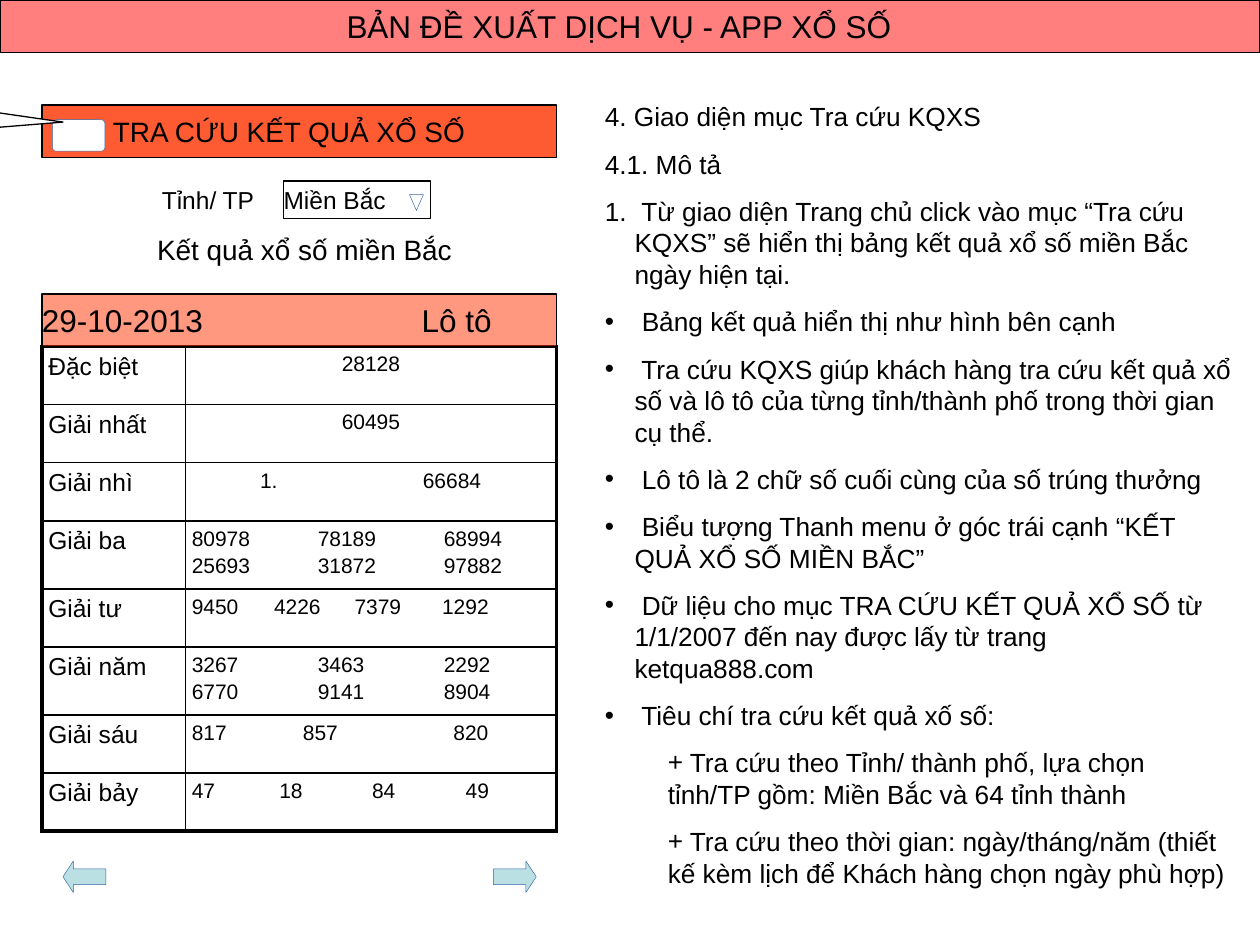
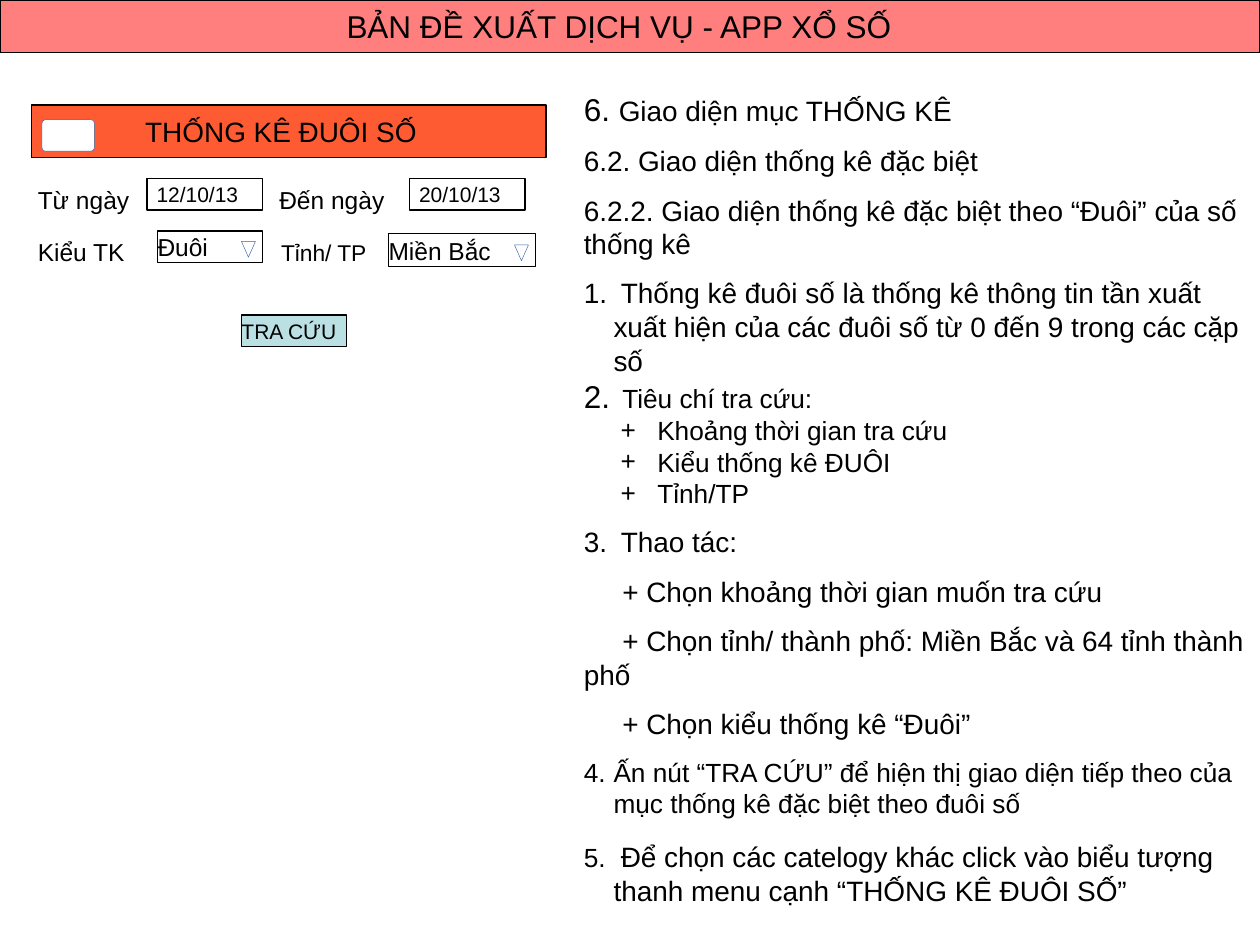
from lxml.etree import SubElement
from pptx import Presentation
from pptx.dml.color import RGBColor
from pptx.enum.shapes import MSO_SHAPE as Shape
from pptx.enum.text import MSO_ANCHOR as Anchor, MSO_AUTO_SIZE as AutoSize, PP_ALIGN as Align
from pptx.oxml.ns import qn
from pptx.util import Pt

FONT = "Arial"
BLACK, WHITE = "000000", "FFFFFF"
BAND_RED, HEADER_RED, BUTTON_BLUE, OUTLINE_BLUE = "FF0000", "FF3300", "BBE0E3", "3465A4"
DECK_TITLE = "BẢN ĐỀ XUẤT DỊCH VỤ - APP XỔ SỐ"
GAP = " "
HANG = 17

PRIZES = [
    ("Đặc biệt", ["28128"], None),
    ("Giải nhất", ["60495"], None),
    ("Giải nhì", ["\t1.\t66684"], (39, 132)),
    ("Giải ba", ["80978\t78189\t68994", "25693\t31872\t97882"], (72, 144)),
    ("Giải tư", ["9450\t4226\t7379\t1292"], (47, 93, 143)),
    ("Giải năm", ["3267\t3463\t2292", "6770\t9141\t8904"], (72, 144)),
    ("Giải sáu", ["817\t857\t820"], (63.5, 149.5)),
    ("Giải bảy", ["47\t18\t84\t49"], (50, 103, 156.5)),
]

LOOKUP_BULLETS = [
    "Bảng kết quả hiển thị như hình bên cạnh",
    "Tra cứu KQXS giúp khách hàng tra cứu kết quả xổ số và lô tô của từng tỉnh/thành phố "
    "trong thời gian cụ thể.",
    "Lô tô là 2 chữ số cuối cùng của số trúng thưởng",
    "Biểu tượng Thanh menu ở góc trái cạnh “KẾT QUẢ XỔ SỐ MIỀN BẮC”",
    "Dữ liệu cho mục TRA CỨU KẾT QUẢ XỔ SỐ từ 1/1/2007 đến nay được lấy từ trang ketqua888.com",
    "Tiêu chí tra cứu kết quả xố số:",
]
LOOKUP_CRITERIA = [
    "Tra cứu theo Tỉnh/ thành phố, lựa chọn tỉnh/TP gồm: Miền Bắc và 64 tỉnh thành",
    "Tra cứu theo thời gian: ngày/tháng/năm (thiết kế kèm lịch để Khách hàng chọn ngày phù hợp)",
]
STATS_CRITERIA = ["Khoảng thời gian tra cứu", "Kiểu thống kê ĐUÔI", "Tỉnh/TP"]
STATS_ACTIONS = [
    "Chọn khoảng thời gian muốn tra cứu",
    "Chọn tỉnh/ thành phố: Miền Bắc và 64 tỉnh thành phố",
    "Chọn kiểu thống kê “Đuôi”",
]


def color(value):
    return RGBColor.from_string(value)


def set_fill(shape, value, opacity=100):
    shape.fill.solid()
    shape.fill.fore_color.rgb = color(value)
    if opacity < 100:
        srgb = shape.fill._xPr.find(qn("a:solidFill")).find(qn("a:srgbClr"))
        SubElement(srgb, qn("a:alpha"), val=str(opacity * 1000))


def set_line(shape, value=BLACK, width=0.75):
    shape.line.color.rgb = color(value)
    shape.line.width = Pt(width)


def set_frame(frame, left=0, inset=0, anchor=Anchor.MIDDLE):
    frame.word_wrap = True
    frame.auto_size = AutoSize.NONE
    frame.vertical_anchor = anchor
    frame.margin_left = Pt(left)
    frame.margin_top = frame.margin_right = frame.margin_bottom = Pt(inset)


def set_tabs(paragraph, stops):
    tabs = SubElement(paragraph._p.get_or_add_pPr(), qn("a:tabLst"))
    for stop in stops:
        SubElement(tabs, qn("a:tab"), pos=str(Pt(stop)), algn="l")


def set_bullet(paragraph, bullet):
    properties = paragraph._p.get_or_add_pPr()
    if isinstance(bullet, int):
        SubElement(properties, qn("a:buAutoNum"), type="arabicPeriod", startAt=str(bullet))
    else:
        SubElement(properties, qn("a:buFont"), typeface=FONT)
        SubElement(properties, qn("a:buChar"), char=bullet)


def set_font(paragraph, size, align=Align.LEFT):
    paragraph.alignment = align
    paragraph.font.name = FONT
    paragraph.font.size = Pt(size)
    paragraph.font.color.rgb = color(BLACK)


def add_para(frame, text, size=15, before=9, bullet=None, left=0, indent=0):
    is_first = not frame.paragraphs[0].runs
    para = frame.paragraphs[0] if is_first else frame.add_paragraph()
    properties = para._p.get_or_add_pPr()
    properties.set("marL", str(Pt(left)))
    properties.set("indent", str(Pt(indent)))
    if bullet:
        set_bullet(para, bullet)
    para.space_before = Pt(0 if is_first else before)
    set_font(para, size)
    for piece in [text] if isinstance(text, str) else text:
        span = para.add_run()
        if isinstance(piece, str):
            span.text = piece
        else:
            span.text, span_size = piece
            span.font.size = Pt(span_size)


def add_item(frame, text, bullet, size=15, before=9):
    add_para(frame, text, size, before, bullet, HANG, -HANG)


def add_shape(page, kind, x, y, width, height, fill=WHITE, opacity=100, line=BLACK, weight=0.75):
    shape = page.shapes.add_shape(kind, Pt(x), Pt(y), Pt(width), Pt(height))
    shape.shadow.inherit = False
    set_fill(shape, fill, opacity)
    set_line(shape, line, weight)
    return shape


def add_icon(page, kind, x, y, width, height, fill=WHITE):
    return add_shape(page, kind, x, y, width, height, fill, line=OUTLINE_BLUE, weight=0.25)


def add_panel(page, x, y, width, height, text, size, left=0, fill=WHITE, opacity=100, tabs=()):
    panel = add_shape(page, Shape.RECTANGLE, x, y, width, height, fill, opacity)
    set_frame(panel.text_frame, left)
    para = panel.text_frame.paragraphs[0]
    para.text = text
    if tabs:
        set_tabs(para, tabs)
    set_font(para, size)


def add_label(page, x, y, width, text, size=14, align=Align.LEFT):
    box = page.shapes.add_textbox(Pt(x), Pt(y), Pt(width), Pt(23))
    set_frame(box.text_frame)
    para = box.text_frame.paragraphs[0]
    para.text = text
    set_font(para, size, align)


def add_dropdown(page, x, y, width, height, text, arrow_x):
    add_panel(page, x, y, width, height, text, 14)
    add_icon(page, Shape.FLOWCHART_MERGE, arrow_x, y + height / 2 - 3, 8, 9)


def add_app_header(page, x, text, left):
    add_panel(page, x, 60, 294, 30, text, 16, left, HEADER_RED, 80)
    menu = add_icon(page, Shape.ROUNDED_RECTANGLE, x + 6, 68.4, 30, 18)
    menu.adjustments[0] = 0.12


def add_page(deck):
    page = deck.slides.add_slide(deck.slide_layouts[5])
    title = page.shapes.title
    title.left, title.top, title.width, title.height = Pt(0), Pt(0), Pt(720), Pt(30)
    set_fill(title, BAND_RED, 50)
    set_line(title)
    set_frame(title.text_frame, left=198)
    title.text_frame.text = DECK_TITLE
    set_font(title.text_frame.paragraphs[0], 18)
    return page


def add_description(page, x, y, width, height):
    box = page.shapes.add_textbox(Pt(x), Pt(y), Pt(width), Pt(height))
    set_frame(box.text_frame, 3.6, 3.6, Anchor.TOP)
    return box.text_frame


def set_borders(cell, widths):
    properties = cell._tc.get_or_add_tcPr()
    for position, (side, width) in enumerate(widths.items()):
        edge = SubElement(properties, qn(f"a:ln{side}"), w=str(Pt(width)))
        properties.insert(position, edge)
        solid = SubElement(edge, qn("a:solidFill"))
        SubElement(solid, qn("a:srgbClr"), val=BLACK)


def fill_cell(cell, lines, size, align=Align.LEFT, tabs=None):
    cell.margin_left = cell.margin_right = cell.margin_top = cell.margin_bottom = Pt(3.6)
    cell.fill.background()
    for index, line in enumerate(lines):
        para = cell.text_frame.add_paragraph() if index else cell.text_frame.paragraphs[0]
        para.text = line
        if tabs:
            set_tabs(para, tabs)
        para.space_before = Pt(2 if index else 0)
        set_font(para, size, align)


def add_prize_table(page):
    last = len(PRIZES) - 1
    frame = page.shapes.add_table(len(PRIZES), 2, Pt(24), Pt(198), Pt(294), Pt(276.8))
    table = frame.table
    table.first_row = table.horz_banding = False
    table.columns[0].width, table.columns[1].width = Pt(82), Pt(212)
    for index, (prize, numbers, tabs) in enumerate(PRIZES):
        table.rows[index].height = Pt(38.9 if len(numbers) > 1 else 33.2)
        name, result = table.cell(index, 0), table.cell(index, 1)
        fill_cell(name, [prize], 14)
        fill_cell(result, numbers, 12, Align.LEFT if tabs else Align.CENTER, tabs)
        top = 2.25 if index == 0 else 1
        bottom = 2.25 if index == last else 1
        set_borders(name, {"L": 2.25, "R": 1, "T": top, "B": bottom})
        set_borders(result, {"L": 1, "R": 2.25, "T": top, "B": bottom})


def add_callout_tail(page):
    builder = page.shapes.build_freeform(Pt(0), Pt(64.6))
    builder.add_line_segments([(Pt(36), Pt(69.8)), (Pt(0), Pt(72.7))], close=False)
    tail = builder.convert_to_shape()
    tail.shadow.inherit = False
    set_fill(tail, WHITE)
    set_line(tail)


def build_lookup_page(deck):
    page = add_page(deck)
    frame = add_description(page, 342, 54, 366, 420)
    add_para(frame, "4. Giao diện mục Tra cứu KQXS")
    add_para(frame, "4.1. Mô tả")
    add_item(frame, GAP + "Từ giao diện Trang chủ click vào mục “Tra cứu KQXS” sẽ hiển thị "
             "bảng kết quả xổ số miền Bắc ngày hiện tại.", 1)
    for text in LOOKUP_BULLETS:
        add_item(frame, GAP + text, "•")
    for text in LOOKUP_CRITERIA:
        add_para(frame, GAP + text, bullet="+", left=36)

    add_prize_table(page)
    add_panel(page, 24, 168, 294, 30, "29-10-2013\tLô tô", 18, 0, HEADER_RED, 50, (217,))
    for kind, x in ((Shape.LEFT_ARROW, 36), (Shape.RIGHT_ARROW, 282)):
        arrow = add_icon(page, kind, x, 492, 24.5, 18, BUTTON_BLUE)
        arrow.adjustments[1] = 0.33
    add_app_header(page, 24, "TRA CỨU KẾT QUẢ XỔ SỐ", 40.5)
    add_callout_tail(page)
    add_label(page, 54, 131, 240, "Kết quả xổ số miền Bắc", 16, Align.CENTER)
    add_label(page, 92.5, 102.5, 66, "Tỉnh/ TP")
    add_dropdown(page, 162, 103.5, 84, 21.5, "Miền Bắc", 234)


def build_statistics_page(deck):
    page = add_page(deck)
    frame = add_description(page, 330, 48, 390, 440)
    add_para(frame, [("6. ", 18), "Giao diện mục THỐNG KÊ"], 16)
    add_para(frame, "6.2. Giao diện thống kê đặc biệt", 16)
    add_para(frame, "6.2.2. Giao diện thống kê đặc biệt theo “Đuôi” của số thống kê", 16)
    add_item(frame, GAP + "Thống kê đuôi số là thống kê thông tin tần xuất xuất hiện của các "
             "đuôi số từ 0 đến 9 trong các cặp số", 1, 16)
    add_item(frame, [(GAP, 18), "Tiêu chí tra cứu:"], 2, 15, 0)
    for text in STATS_CRITERIA:
        add_para(frame, text, 15, 0, "+", 42, -21)
    add_item(frame, GAP + "Thao tác:", 3, 16)
    for text in STATS_ACTIONS:
        add_para(frame, "+" + GAP + text, 16, indent=22)
    add_item(frame, "Ấn nút “TRA CỨU” để hiện thị giao diện tiếp theo của mục thống kê đặc biệt "
             "theo đuôi số", 4)
    add_item(frame, [(GAP, 15), "Để chọn các catelogy khác click vào biểu tượng thanh menu cạnh "
                     "“THỐNG KÊ ĐUÔI SỐ”"], 5, 16, 12)

    add_app_header(page, 18, "THỐNG KÊ ĐUÔI SỐ", 65)
    add_label(page, 21.6, 102.5, 62, "Từ ngày")
    add_label(page, 159.6, 102.5, 74, "Đến ngày")
    for x, date in ((84, "12/10/13"), (234, "20/10/13")):
        add_panel(page, x, 102, 66, 18, date, 12, 5.5)
    add_panel(page, 138, 180, 60, 18, "TRA CỨU", 12, fill=BUTTON_BLUE)
    add_label(page, 21.6, 132.5, 66, "Kiểu TK")
    add_dropdown(page, 90, 132, 60, 18, "Đuôi", 138)
    add_label(page, 160.6, 133, 60, "Tỉnh/ TP", 13)
    add_dropdown(page, 222, 133.5, 84, 19, "Miền Bắc", 294)


def main():
    deck = Presentation()
    deck.slide_width, deck.slide_height = Pt(720), Pt(540)
    build_lookup_page(deck)
    build_statistics_page(deck)
    deck.save("out.pptx")


if __name__ == "__main__":
    main()
